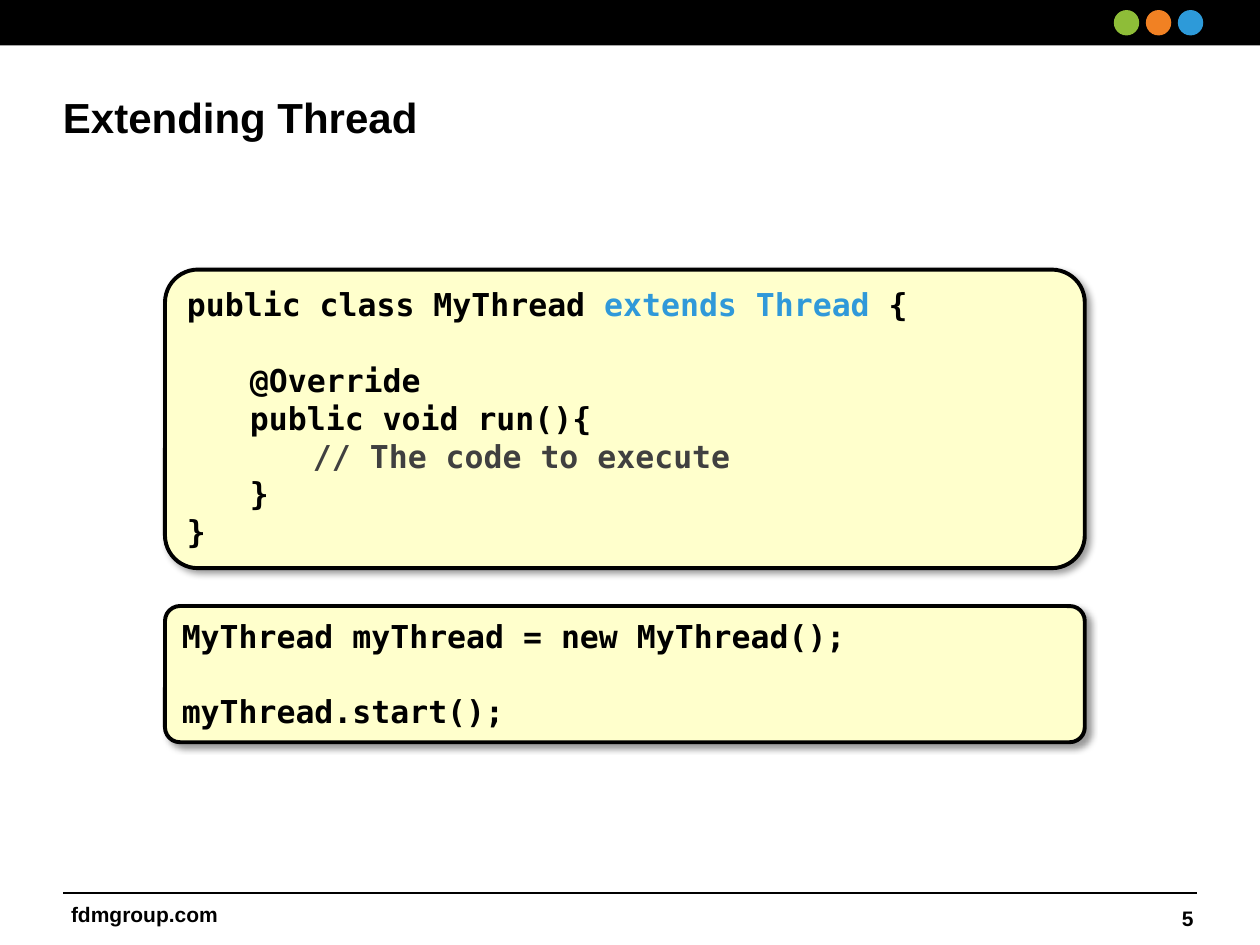
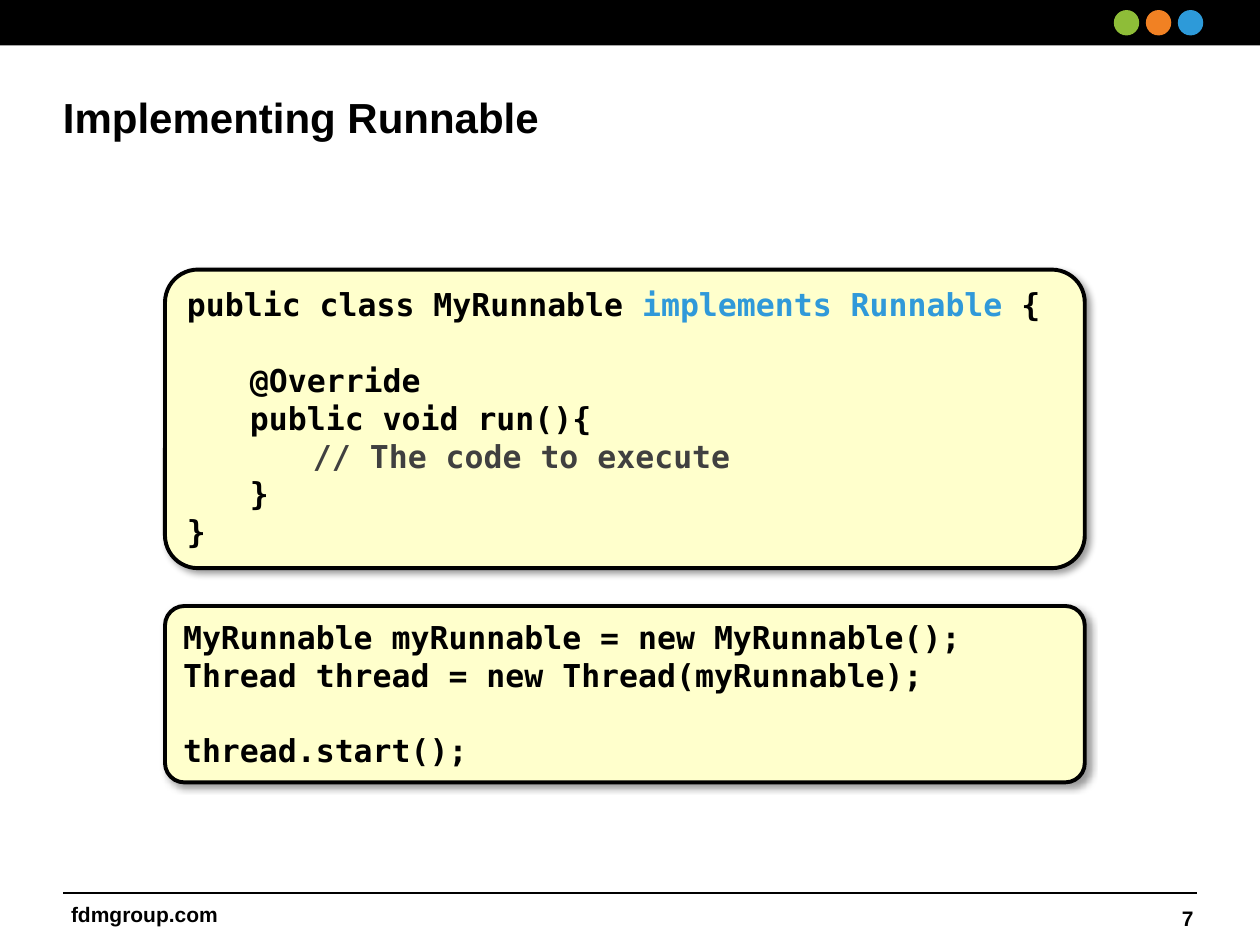
import pptx
import pptx.util
import pptx.dml.color
import pptx.enum.shapes
import pptx.enum.text
import pptx.oxml
import pptx.oxml.ns

Pt = pptx.util.Pt
RGBColor = pptx.dml.color.RGBColor
Shape = pptx.enum.shapes.MSO_SHAPE
Align = pptx.enum.text.PP_ALIGN
Anchor = pptx.enum.text.MSO_ANCHOR

BLACK = RGBColor(0x00, 0x00, 0x00)
GREEN = RGBColor(0x8E, 0xBD, 0x38)
ORANGE = RGBColor(0xF1, 0x81, 0x23)
BLUE = RGBColor(0x2D, 0x9A, 0xD9)
CREAM = RGBColor(0xFF, 0xFF, 0xCC)
KEY = RGBColor(0x30, 0x99, 0xD9)
GREY = RGBColor(0x40, 0x40, 0x40)

WIDE, HIGH = 720, 540
MARGIN = 36
TAB = 36
LEAD = 21.6
SHADOW = (
    f'<a:outerShdw {pptx.oxml.ns.nsdecls("a")} blurRad="50800" dist="38100" '
    'dir="2700000" algn="tl" rotWithShape="0"><a:srgbClr val="000000">'
    '<a:alpha val="40000"/></a:srgbClr></a:outerShdw>'
)


def write(shape, lines, font="Arial", size=12, align=Align.LEFT,
          anchor=Anchor.TOP, wrap=True, pads=(7.2, 3.6, 7.2, 3.6), lead=None):
    frame = shape.text_frame
    frame.word_wrap = wrap
    frame.vertical_anchor = anchor
    (frame.margin_left, frame.margin_top,
     frame.margin_right, frame.margin_bottom) = map(Pt, pads)
    for i, (depth, gap, runs) in enumerate(lines):
        para = frame.add_paragraph() if i else frame.paragraphs[0]
        para.alignment = align
        if depth:
            props = para._p.get_or_add_pPr()
            props.set("marL", str(Pt(depth * TAB)))
            props.set("indent", "0")
        if lead:
            para.line_spacing = Pt(lead)
        if gap:
            para.space_before = Pt(gap)
        for text, color in runs:
            run = para.add_run()
            run.text = text
            run.font.name = font
            run.font.size = Pt(size)
            run.font.bold = True
            run.font.color.rgb = color


def line(text, depth=0, gap=0, color=BLACK):
    return depth, gap, [(text, color)]


def label(slide, box, text, **form):
    shape = slide.shapes.add_textbox(*map(Pt, box))
    write(shape, [line(text)], **form)


def solid(slide, kind, box, fill):
    shape = slide.shapes.add_shape(kind, *map(Pt, box))
    shape.shadow.inherit = False
    shape.fill.solid()
    shape.fill.fore_color.rgb = fill
    shape.line.fill.background()
    return shape


def header(slide, box):
    left, top, width, height = box
    solid(slide, Shape.RECTANGLE, box, BLACK)
    dot, step = 14.5, 18.3
    start = left + width - 83.5
    for i, color in enumerate((GREEN, ORANGE, BLUE)):
        place = (start + i * step, top + (height - dot) / 2, dot, dot)
        solid(slide, Shape.OVAL, place, color)


def footer(slide, box, number):
    left, top, width, height = box
    rule = slide.shapes.add_connector(
        pptx.enum.shapes.MSO_CONNECTOR.STRAIGHT,
        Pt(left), Pt(top), Pt(left + width), Pt(top))
    rule.line.color.rgb = BLACK
    rule.line.width = Pt(1)
    rule._element.spPr.append(pptx.oxml.parse_xml(
        f'<a:effectLst {pptx.oxml.ns.nsdecls("a")}/>'))
    form = dict(align=Align.RIGHT, anchor=Anchor.MIDDLE)
    label(slide, (left - 4.3, top + 0.7, 100, 21.8), "fdmgroup.com",
          wrap=False, **form)
    label(slide, (left + width - 163, top, 168, height), str(number), **form)


def panel(slide, box, lines):
    shape = solid(slide, Shape.ROUNDED_RECTANGLE, box, CREAM)
    shape.adjustments[0] = 0.11
    shape.line.color.rgb = BLACK
    shape.line.width = Pt(2.25)
    effects = shape._element.spPr.find(pptx.oxml.ns.qn("a:effectLst"))
    effects.append(pptx.oxml.parse_xml(SHADOW))
    write(shape, lines, font="DejaVu Sans Mono", size=18, lead=LEAD)


def lesson(deck, number, title, name, clause, usage, depth):
    slide = deck.slides.add_slide(deck.slide_layouts[6])
    footer(slide, (MARGIN, 510.5, WIDE - 2 * MARGIN, 28.8), number)
    header(slide, (0, 0, WIDE, 26))
    label(slide, (MARGIN, 50.4, WIDE - 2 * MARGIN, 32.4), title,
          size=24, pads=(0, 2, 0, 3.6))
    panel(slide, (94.3, 346.3, 525.6, depth), usage)
    panel(slide, (94.3, 154.1, 525.6, 170.6), [
        (0, 0, [(f"public class {name} ", BLACK), (f"{clause} ", KEY),
                ("{", BLACK)]),
        line("@Override", 1, LEAD),
        line("public void run(){", 1),
        line("// The code to execute", 2, color=GREY),
        line("}", 1),
        line("}"),
    ])


def main():
    deck = pptx.Presentation()
    deck.slide_width, deck.slide_height = Pt(WIDE), Pt(HIGH)
    lesson(deck, 5, "Extending Thread", "MyThread", "extends Thread", [
        line("MyThread myThread = new MyThread();"),
        line("myThread.start();", gap=LEAD),
    ], 77.8)
    lesson(deck, 7, "Implementing Runnable", "MyRunnable",
           "implements Runnable", [
               line("MyRunnable myRunnable = new MyRunnable();"),
               line("Thread thread = new Thread(myRunnable);"),
               line("thread.start();", gap=LEAD),
           ], 100.8)
    deck.save("out.pptx")


if __name__ == "__main__":
    main()
